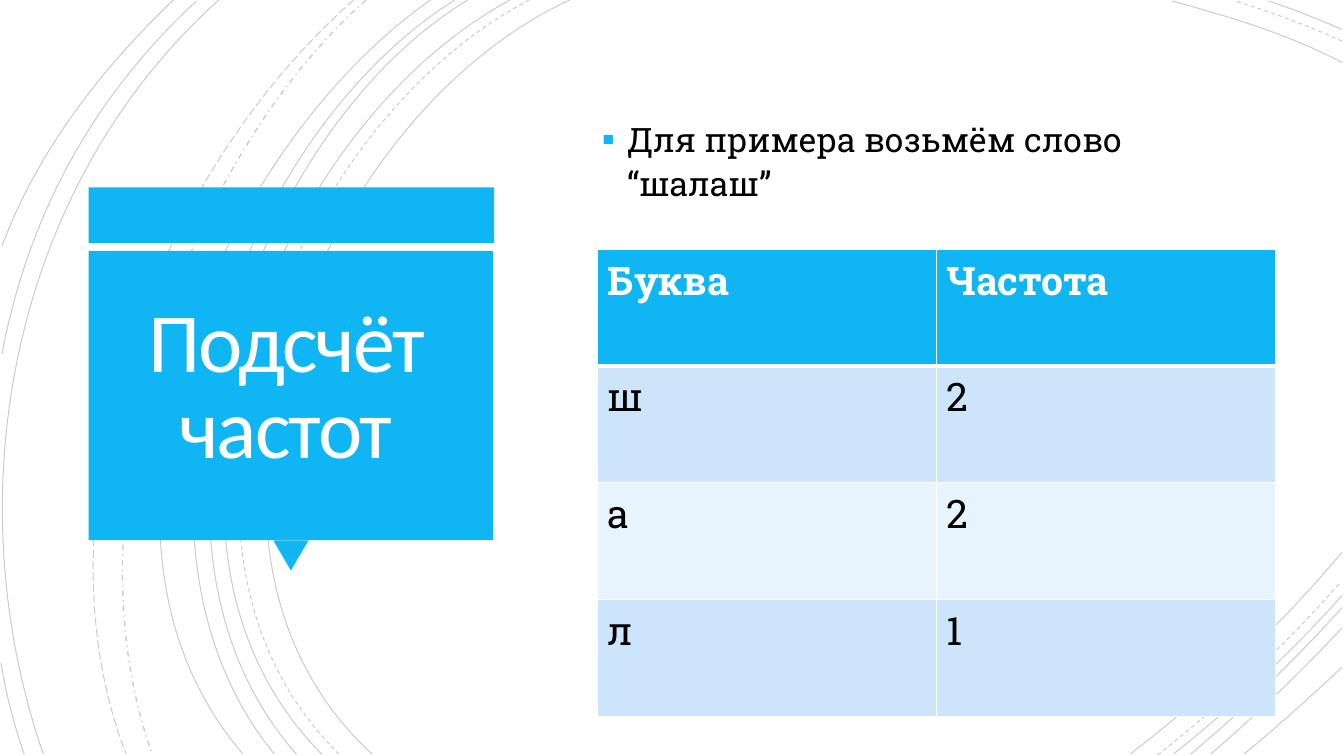
from lxml import etree
from pptx import Presentation
from pptx.dml.color import RGBColor
from pptx.enum.dml import MSO_LINE as Dash
from pptx.enum.shapes import MSO_SHAPE as Shape
from pptx.enum.text import MSO_ANCHOR as Anchor, MSO_AUTO_SIZE as AutoSize, PP_ALIGN as Align
from pptx.oxml.ns import qn
from pptx.util import Pt

PX = 9144  # EMU in one px, 100 px to the inch
WHITE = RGBColor(0xFF, 0xFF, 0xFF)
TITLE_WHITE = RGBColor(0xFF, 0xFE, 0xFF)
BLACK = RGBColor(0, 0, 0)
BLUE = RGBColor(0x10, 0xB6, 0xF4)
ROW_TINTS = (RGBColor(0xCC, 0xE5, 0xFB), RGBColor(0xE7, 0xF3, 0xFD))
TITLE_FONT, TEXT_FONT = "Calibri", "Roboto Slab"

TITLE = "Подсчёт частот"
BODY = "Для примера возьмём слово “шалаш”"
FREQUENCIES = [("Буква", "Частота"), ("ш", "2"), ("а", "2"), ("л", "1")]

# Each arc is a cubic curve: start, two control points, end
SOLID_ARCS = [
    ((565, 0), (315, 115), (143, 540), (369, 748)),
    ((1331, 62), (1278, 34), (1218, 16), (1162, 1)),
    ((1121, 748), (1197, 690), (1269, 622), (1331, 548)),
    ((506, 0), (270, 127), (110, 537), (319, 748)),
    ((1331, 29), (1307, 19), (1283, 9), (1258, 1)),
    ((1164, 748), (1223, 701), (1280, 648), (1331, 591)),
    ((464, 0), (244, 133), (110, 541), (294, 748)),
    ((1181, 748), (1234, 704), (1284, 655), (1331, 603)),
    ((451, 0), (231, 138), (97, 533), (272, 748)),
    ((1201, 748), (1246, 709), (1290, 667), (1331, 623)),
    ((427, 0), (217, 147), (53, 529), (241, 748)),
    ((1234, 748), (1267, 721), (1299, 692), (1331, 662)),
    ((217, 0), (11, 185), (-46, 490), (43, 748)),
    ((195, 1), (92, 96), (28, 214), (2, 351)),
    ((1, 658), (6, 689), (14, 719), (24, 748)),
    ((172, 0), (100, 69), (37, 150), (2, 244)),
]
DASHED_ARCS = [
    ((525, 0), (285, 125), (123, 537), (336, 748)),
    ((1331, 41), (1297, 25), (1260, 12), (1225, 1)),
    ((1148, 749), (1213, 698), (1275, 640), (1330, 577)),
]
DASH_DOT_ARCS = [((363, 0), (176, 166), (65, 509), (151, 748))]
LONG_DASH_ARCS = [((351, 0), (157, 169), (29, 499), (125, 748))]
ARC_STYLES = [
    (SOLID_ARCS, Dash.SOLID, 0.75),
    (DASHED_ARCS, Dash.DASH, 0.75),
    (DASH_DOT_ARCS, Dash.DASH_DOT, 1),
    (LONG_DASH_ARCS, Dash.LONG_DASH, 0.75),
]

# Shape, left, top, width, height, rotation
TITLE_PANEL = [
    (Shape.RECTANGLE, 88, 186, 402, 55, 0),
    (Shape.ISOSCELES_TRIANGLE, 271, 536, 35, 30, 180),
    (Shape.RECTANGLE, 88, 249, 401, 287, 0),
]
TITLE_BOX = (92, 263, 383, 209)
BODY_BOX = (587, 40, 686, 281)
TABLE_LEFT, TABLE_TOP, COLUMN_WIDTH, ROW_HEIGHT = 593, 247, 336, 116


def emu(*lengths):
    return [length * PX for length in lengths]


def add_xml(parent, tag, **attributes):
    return etree.SubElement(parent, qn(tag), attributes)


def draw_arc(slide, arc, dash, width):
    """Draw a cubic curve: build its control polygon, then join it into one Bezier."""
    start, *rest = arc
    builder = slide.shapes.build_freeform(*start, scale=PX)
    builder.add_line_segments(rest, close=False)
    shape = builder.convert_to_shape()
    outline = shape._element.find(".//" + qn("a:path"))
    curve = add_xml(outline, "a:cubicBezTo")
    for segment in outline.findall(qn("a:lnTo")):
        curve.append(segment[0])
        outline.remove(segment)
    shape.shadow.inherit = False
    shape.fill.background()
    shape.line.width = Pt(width)
    shape.line.color.rgb = BLACK
    shape.line.dash_style = dash
    color = shape.line._ln.find(".//" + qn("a:srgbClr"))
    add_xml(color, "a:alpha", val="20000")


def draw_panel(slide):
    for kind, left, top, width, height, rotation in TITLE_PANEL:
        part = slide.shapes.add_shape(kind, *emu(left, top, width, height))
        part.rotation = rotation
        part.shadow.inherit = False
        part.fill.solid()
        part.fill.fore_color.rgb = BLUE
        part.line.fill.background()


def style(para, font, size, color, bold=False):
    para.font.name = font
    para.font.size = Pt(size)
    para.font.color.rgb = color
    para.font.bold = bold


def place(slide, holder, box, text, anchor, insets):
    """Bring a placeholder to the front, fill it and return its paragraph."""
    slide.shapes._spTree.append(holder._element)
    holder.left, holder.top, holder.width, holder.height = emu(*box)
    frame = holder.text_frame
    frame.text = text
    frame.word_wrap = True
    frame.auto_size = AutoSize.NONE
    frame.vertical_anchor = anchor
    (frame.margin_left, frame.margin_top,
     frame.margin_right, frame.margin_bottom) = emu(*insets)
    return frame.paragraphs[0]


def fill_title(slide):
    para = place(slide, slide.shapes.title, TITLE_BOX, TITLE, Anchor.BOTTOM, (25, 25, 25, 0))
    para.alignment = Align.CENTER
    para.line_spacing = 0.85
    style(para, TITLE_FONT, 60, TITLE_WHITE)
    para.runs[0]._r.get_or_add_rPr().set("spc", "-150")


def fill_body(slide):
    para = place(slide, slide.placeholders[1], BODY_BOX, BODY, Anchor.MIDDLE, (10, 5, 30, 50))
    para.line_spacing = 1.1
    para.space_before = Pt(10)
    properties = para._p.get_or_add_pPr()
    indent = 25 * PX
    properties.set("marL", str(indent))
    properties.set("indent", str(-indent))
    add_xml(add_xml(properties, "a:buClr"), "a:srgbClr", val=str(BLUE))
    add_xml(properties, "a:buSzPct", val="110000")
    add_xml(properties, "a:buFont", typeface="Arial")
    add_xml(properties, "a:buChar", char="▪")
    style(para, TEXT_FONT, 24, BLACK)


def set_borders(cell, top, bottom):
    properties = cell._tc.get_or_add_tcPr()
    for side, width in (("L", 1), ("R", 1), ("T", top), ("B", bottom)):
        line = add_xml(properties, f"a:ln{side}", w=str(Pt(width)))
        add_xml(add_xml(line, "a:solidFill"), "a:srgbClr", val=str(WHITE))


def add_frequency_table(slide):
    rows, columns = len(FREQUENCIES), len(FREQUENCIES[0])
    box = emu(TABLE_LEFT, TABLE_TOP, columns * COLUMN_WIDTH, rows * ROW_HEIGHT)
    table = slide.shapes.add_table(rows, columns, *box).table
    for row, values in enumerate(FREQUENCIES):
        header = row == 0
        for column, value in enumerate(values):
            cell = table.cell(row, column)
            cell.text = value
            set_borders(cell, 3 if row == 1 else 1, 3 if header else 1)
            cell.fill.solid()
            cell.fill.fore_color.rgb = BLUE if header else ROW_TINTS[(row - 1) % 2]
            style(cell.text_frame.paragraphs[0], TEXT_FONT, 28,
                  WHITE if header else BLACK, header)


def main():
    deck = Presentation()
    deck.slide_width, deck.slide_height = emu(1333, 750)
    slide = deck.slides.add_slide(deck.slide_layouts[1])
    slide.background.fill.solid()
    slide.background.fill.fore_color.rgb = WHITE
    for arcs, dash, width in ARC_STYLES:
        for arc in arcs:
            draw_arc(slide, arc, dash, width)
    draw_panel(slide)
    fill_title(slide)
    fill_body(slide)
    add_frequency_table(slide)
    deck.save("out.pptx")


if __name__ == "__main__":
    main()
